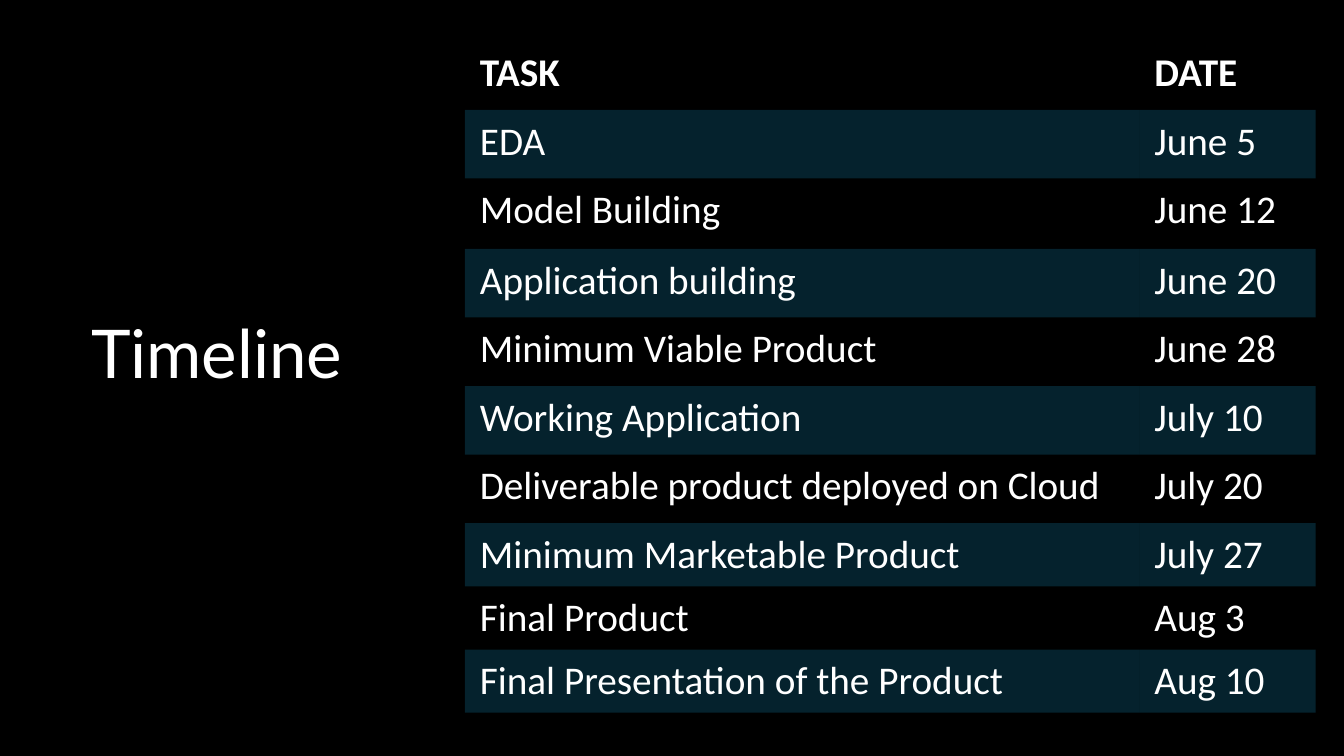
import dataclasses

import lxml.etree
import pptx
import pptx.dml.color
import pptx.enum.text
import pptx.oxml.ns
import pptx.util

Inches = pptx.util.Inches
Color = pptx.dml.color.RGBColor.from_string
Anchor = pptx.enum.text.MSO_ANCHOR
Align = pptx.enum.text.PP_ALIGN
qn = pptx.oxml.ns.qn


@dataclasses.dataclass(frozen=True)
class Theme:
    back: str = "000000"
    ink: str = "FFFFFF"
    band: str = "1CADE4"
    band_alpha: int = 20
    title_font: str = "Lato"
    body_font: str = "Calibri"
    title_size: int = 48
    body_size: int = 28


TASKS = [
    ("TASK", "DATE"),
    ("EDA", "June 5"),
    ("Model Building", "June 12"),
    ("Application building", "June 20"),
    ("Minimum Viable Product", "June 28"),
    ("Working Application", "July 10"),
    ("Deliverable product deployed on Cloud", "July 20"),
    ("Minimum Marketable Product", "July 27"),
    ("Final Product", "Aug 3"),
    ("Final Presentation of the Product", "Aug 10"),
]
WIDTHS = [6.69, 1.75]
HEIGHTS = [0.68] * 2 + [0.7] + [0.68] * 4 + [0.58] * 3


def apply(target, form):
    for name, value in form.items():
        setattr(target, name, value)


class Page:
    def __init__(self, deck, theme):
        self.theme = theme
        self.slide = deck.slides.add_slide(deck.slide_layouts[6])
        fill = self.slide.background.fill
        fill.solid()
        fill.fore_color.rgb = Color(theme.back)

    def label(self, frame, text, font, size, bold=False):
        para = frame.paragraphs[0]
        run = para.add_run()
        run.text = text
        apply(run.font, {"name": font, "size": pptx.util.Pt(size), "bold": bold})
        run.font.color.rgb = Color(self.theme.ink)
        return para

    def title(self, text, *box):
        frame = self.slide.shapes.add_textbox(*map(Inches, box)).text_frame
        apply(frame, {"word_wrap": True, "vertical_anchor": Anchor.MIDDLE})
        para = self.label(frame, text, self.theme.title_font, self.theme.title_size)
        apply(para, {"alignment": Align.CENTER, "line_spacing": 0.9})

    def table(self, rows, widths, heights, left, top):
        box = map(Inches, (left, top, sum(widths), sum(heights)))
        table = self.slide.shapes.add_table(len(rows), len(widths), *box).table
        apply(table, {"first_row": False, "horz_banding": False})
        for col, width in zip(table.columns, widths):
            col.width = Inches(width)
        for row, height in zip(table.rows, heights):
            row.height = Inches(height)
        for r, row in enumerate(rows):
            for c, text in enumerate(row):
                self.cell(table.cell(r, c), text, head=r == 0, band=r % 2 == 1)

    def cell(self, cell, text, head, band):
        side, edge = Inches(0.15), Inches(0.08)
        apply(cell, {"margin_left": side, "margin_right": side,
                     "margin_top": edge, "margin_bottom": edge})
        self.label(cell.text_frame, text, self.theme.body_font,
                   self.theme.body_size, head)
        self.clear(cell)
        if band:
            self.tint(cell.fill)
        else:
            cell.fill.background()

    def clear(self, cell):
        """Remove the borders that the table style would draw."""
        props = cell._tc.get_or_add_tcPr()
        for tag in ("a:lnL", "a:lnR", "a:lnT", "a:lnB"):
            line = lxml.etree.SubElement(props, qn(tag), w="0")
            lxml.etree.SubElement(line, qn("a:noFill"))

    def tint(self, fill):
        """Fill with the see-through band colour."""
        fill.solid()
        fill.fore_color.rgb = Color(self.theme.band)
        color = fill._xPr.find(qn("a:solidFill"))[0]
        alpha = str(self.theme.band_alpha * 1000)
        lxml.etree.SubElement(color, qn("a:alpha"), val=alpha)


def main():
    deck = pptx.Presentation()
    apply(deck, {"slide_width": Inches(13.33), "slide_height": Inches(7.5)})
    page = Page(deck, Theme())
    page.title("Timeline", 0.43, 3.02, 3.44, 1.03)
    page.table(TASKS, WIDTHS, HEIGHTS, 4.61, 0.41)
    deck.save("out.pptx")


if __name__ == "__main__":
    main()
